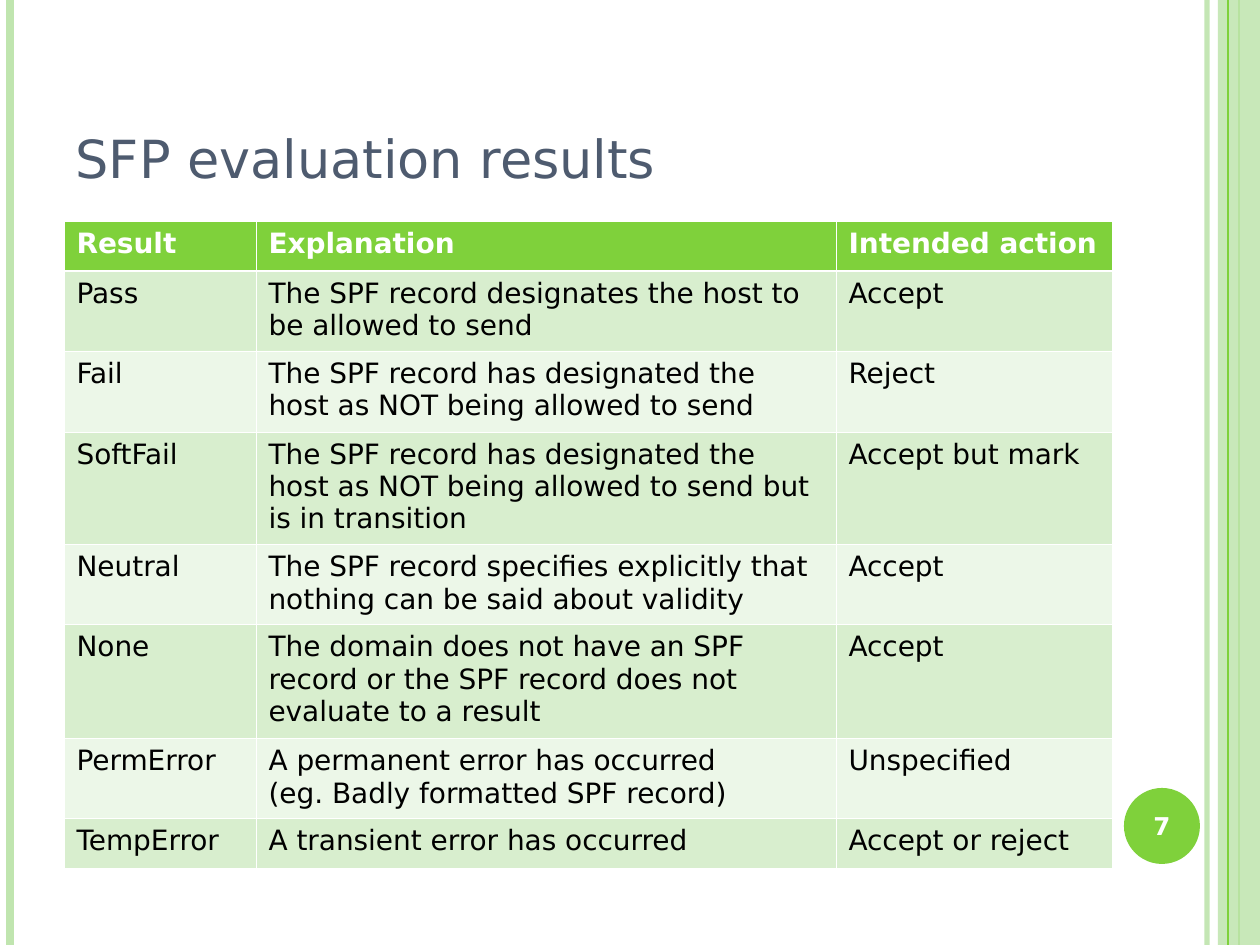
from lxml import etree
from pptx import Presentation
from pptx.dml.color import RGBColor
from pptx.enum.shapes import MSO_CONNECTOR, MSO_SHAPE
from pptx.enum.text import MSO_ANCHOR, MSO_AUTO_SIZE, PP_ALIGN
from pptx.oxml.ns import qn
from pptx.util import Emu, Pt

STRAIGHT = MSO_CONNECTOR.STRAIGHT
RECTANGLE, OVAL = MSO_SHAPE.RECTANGLE, MSO_SHAPE.OVAL
BOTTOM, MIDDLE = MSO_ANCHOR.BOTTOM, MSO_ANCHOR.MIDDLE
LEFT, CENTER = PP_ALIGN.LEFT, PP_ALIGN.CENTER
NO_FIT = MSO_AUTO_SIZE.NONE

FONT = "DejaVu Sans"
GREEN = RGBColor(0x7F, 0xD1, 0x3B)
PALE_GREEN = RGBColor(0xC0, 0xE5, 0xAF)
BAND_DARK = RGBColor(0xD8, 0xEE, 0xCE)
BAND_LIGHT = RGBColor(0xEC, 0xF7, 0xE8)
SLATE = RGBColor(0x4E, 0x5B, 0x6F)
WHITE = RGBColor(0xFF, 0xFF, 0xFF)
BLACK = RGBColor(0, 0, 0)

# Content
TITLE = "SFP evaluation results"
PAGE_NUMBER = "7"
ROWS = [
    ("Result", "Explanation", "Intended action"),
    ("Pass", "The SPF record designates the host to be allowed to send", "Accept"),
    ("Fail", "The SPF record has designated the host as NOT being allowed to send",
     "Reject"),
    ("SoftFail", "The SPF record has designated the host as NOT being allowed to send "
     "but is in transition", "Accept but mark"),
    ("Neutral", "The SPF record specifies explicitly that nothing can be said about "
     "validity", "Accept"),
    ("None", "The domain does not have an SPF record or the SPF record does not "
     "evaluate to a result", "Accept"),
    ("PermError", "A permanent error has occurred\v(eg. Badly formatted SPF record)",
     "Unspecified"),
    ("TempError", "A transient error has occurred", "Accept or reject"),
]

# Layout in px, 126 to the inch
PAGE_WIDTH, PAGE_HEIGHT = 1260, 945
TITLE_BOX = (63, 38, 1029, 157)
TABLE_LEFT, TABLE_TOP = 64, 221
COLUMN_WIDTHS = [192, 580, 276]
ROW_HEIGHTS = [50, 80, 81, 113, 80, 114, 80, 50]
BAND_BOX = (1218, 0, 42, PAGE_HEIGHT)
BADGE_BOX = (1124, 788, 76, 76)
NUMBER_BOX = (1120, 790, 84, 72)
# x, colour, width in points, opacity in percent
STRIPES_BEHIND = [(1207, PALE_GREEN, 3, 93), (10, PALE_GREEN, 4.5, 100),
                  (1239, GREEN, 1.5, 100)]
STRIPE_IN_FRONT = (1228, GREEN, 0.75, 100)


def px(length):
    return Emu(round(length * 914400 / 126))


def scaled(box):
    return [px(length) for length in box]


def set_opacity(fill_parent, percent):
    color = fill_parent.find(".//" + qn("a:srgbClr"))
    etree.SubElement(color, qn("a:alpha"), val=str(percent * 1000))


def style_text(frame, size, color, bold=False, align=LEFT):
    frame.word_wrap = True
    for para in frame.paragraphs:
        para.alignment = align
        for run in para.runs:
            font = run.font
            font.name, font.size, font.bold = FONT, Pt(size), bold
            font.color.rgb = color


def add_stripe(page, x, color, width, opacity):
    stripe = page.shapes.add_connector(STRAIGHT, px(x), 0, px(x), px(PAGE_HEIGHT))
    stripe.line.color.rgb = color
    stripe.line.width = Pt(width)
    properties = stripe.element.spPr
    if opacity < 100:
        set_opacity(properties, opacity)
    etree.SubElement(properties, qn("a:effectLst"))


def add_plain_shape(page, kind, box, color):
    shape = page.shapes.add_shape(kind, *scaled(box))
    shape.shadow.inherit = False
    shape.fill.solid()
    shape.fill.fore_color.rgb = color
    shape.line.fill.background()
    return shape


def add_border(cell, side, points):
    border = etree.SubElement(cell._tc.get_or_add_tcPr(), qn("a:ln" + side),
                              w=str(Pt(points)))
    fill = etree.SubElement(border, qn("a:solidFill"))
    etree.SubElement(fill, qn("a:srgbClr"), val=str(WHITE))


def add_results_table(page):
    size = (sum(COLUMN_WIDTHS), sum(ROW_HEIGHTS))
    table = page.shapes.add_table(len(ROWS), len(COLUMN_WIDTHS),
                                  *scaled((TABLE_LEFT, TABLE_TOP, *size))).table
    for column, width in zip(table.columns, COLUMN_WIDTHS):
        column.width = px(width)
    for row_index, texts in enumerate(ROWS):
        table.rows[row_index].height = px(ROW_HEIGHTS[row_index])
        header = row_index == 0
        band = GREEN if header else BAND_DARK if row_index % 2 else BAND_LIGHT
        for column_index, text in enumerate(texts):
            cell = table.cell(row_index, column_index)
            cell.text_frame.text = text
            style_text(cell.text_frame, 16, WHITE if header else BLACK, header)
            # The rule under the header is heavier
            for side in "LRTB":
                heavy = (row_index, side) in ((0, "B"), (1, "T"))
                add_border(cell, side, 1.47 if heavy else 0.45)
            cell.fill.solid()
            cell.fill.fore_color.rgb = band


def main():
    deck = Presentation()
    deck.slide_width, deck.slide_height = px(PAGE_WIDTH), px(PAGE_HEIGHT)
    page = deck.slides.add_slide(deck.slide_layouts[5])

    # Side decoration
    for stripe in STRIPES_BEHIND:
        add_stripe(page, *stripe)
    band = add_plain_shape(page, RECTANGLE, BAND_BOX, PALE_GREEN)
    set_opacity(band.element.spPr, 87)
    add_stripe(page, *STRIPE_IN_FRONT)
    add_plain_shape(page, OVAL, BADGE_BOX, GREEN)

    # Title
    title = page.shapes.title
    title.left, title.top, title.width, title.height = scaled(TITLE_BOX)
    title.text_frame.text = TITLE
    title.text_frame.auto_size = NO_FIT
    title.text_frame.vertical_anchor = BOTTOM
    style_text(title.text_frame, 30, SLATE)

    add_results_table(page)

    # Page number
    number = page.shapes.add_textbox(*scaled(NUMBER_BOX)).text_frame
    number.text = PAGE_NUMBER
    number.vertical_anchor = MIDDLE
    style_text(number, 14, WHITE, True, CENTER)

    deck.save("out.pptx")


if __name__ == "__main__":
    main()
